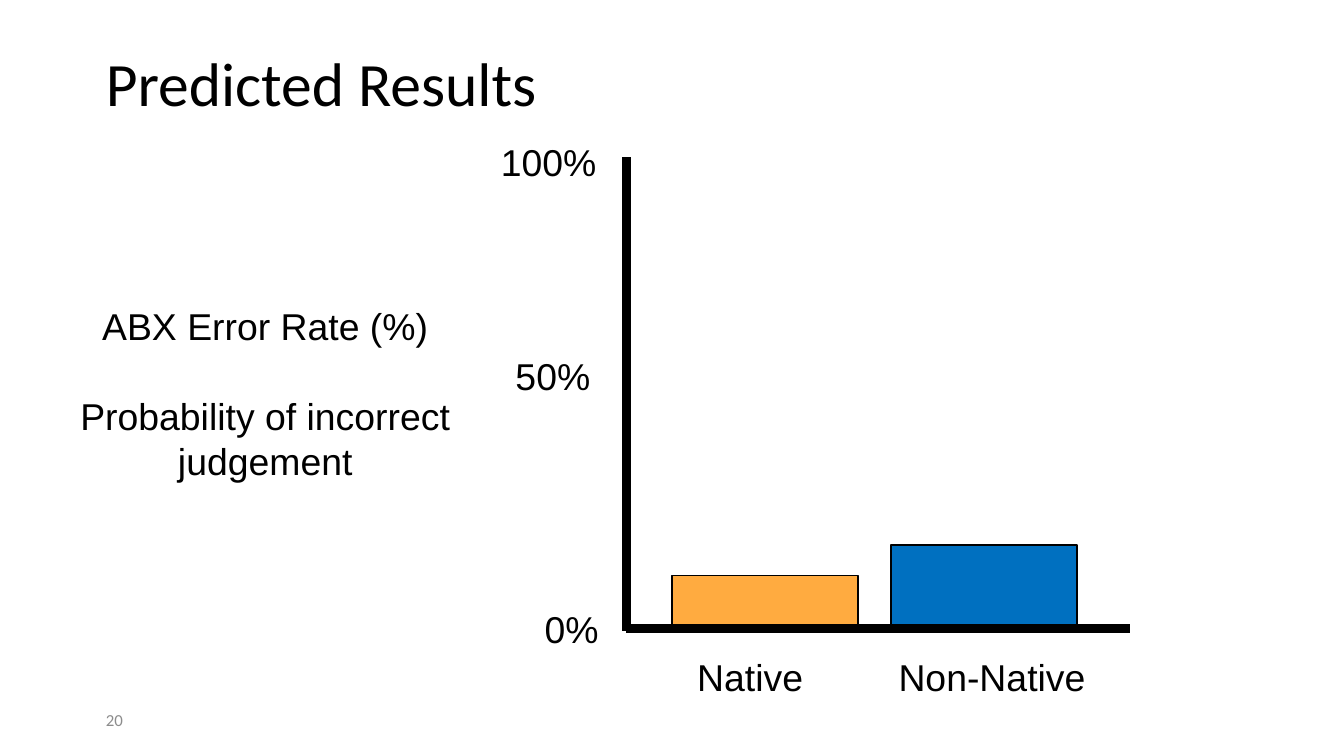
import pptx
import pptx.util
import pptx.dml.color
import pptx.enum.shapes
import pptx.enum.text
import lxml.etree
import pptx.oxml.ns

Cm = pptx.util.Cm
Pt = pptx.util.Pt
ALIGN = pptx.enum.text.PP_ALIGN
ANCHOR = pptx.enum.text.MSO_ANCHOR
COLOURS = {
    "ink": "000000",
    "muted": "8C8C8C",
    "native": "FFAB40",
    "non_native": "0070C0",
}
LABEL_HEIGHT = 1.12


def colour(name):
    return pptx.dml.color.RGBColor.from_string(COLOURS[name])


def add_text(slide, box, text, size=20, font="Arial", ink="ink",
             align=ALIGN.CENTER, anchor=ANCHOR.TOP):
    shape = slide.shapes.add_textbox(*map(Cm, box))
    text_frame = shape.text_frame
    text_frame.word_wrap = True
    text_frame.vertical_anchor = anchor
    text_frame.text = text
    for paragraph in text_frame.paragraphs:
        paragraph.alignment = align
        for run in paragraph.runs:
            run.font.size = Pt(size)
            run.font.name = font
            run.font.color.rgb = colour(ink)
    return text_frame


def add_axis(slide, start, end):
    axis = slide.shapes.add_connector(
        pptx.enum.shapes.MSO_CONNECTOR.STRAIGHT, *map(Cm, start + end))
    axis.line.color.rgb = colour("ink")
    axis.line.width = Pt(4.5)
    lxml.etree.SubElement(axis.element.spPr, pptx.oxml.ns.qn("a:effectLst"))


def add_bar(slide, box, fill):
    bar = slide.shapes.add_shape(
        pptx.enum.shapes.MSO_SHAPE.RECTANGLE, *map(Cm, box))
    bar.shadow.inherit = False
    bar.fill.solid()
    bar.fill.fore_color.rgb = colour(fill)
    bar.line.color.rgb = colour("ink")
    bar.line.width = Pt(1)


def add_title(slide, box):
    text_frame = add_text(slide, box, "Predicted Results", 33, "Calibri",
                          align=ALIGN.LEFT)
    text_frame.margin_top = text_frame.margin_bottom = Cm(0.25)
    text_frame.paragraphs[0].line_spacing = 0.9


def add_measure(slide, box):
    text_frame = add_text(
        slide, box, "ABX Error Rate (%)\nProbability of incorrect judgement")
    text_frame.paragraphs[1].space_before = Pt(24)


def add_bar_graph(slide, box):
    left, top, width, height = box
    baseline = top + height
    add_axis(slide, (left, top), (left, baseline + 0.05))

    bar_width, label_width = 3.51, 4.88
    bars = [
        ("Native", "native", 0.86, 1, -0.1),
        ("Non-Native", "non_native", 5, 1.57, 4.47),
    ]
    for name, fill, bar_left, bar_height, label_left in bars:
        add_bar(slide, (left + bar_left, baseline - bar_height,
                        bar_width, bar_height), fill)
        add_text(slide, (left + label_left, baseline + 0.36,
                         label_width, LABEL_HEIGHT), name)
    add_axis(slide, (left, baseline), (left + width, baseline))

    ticks = [
        ("100%", 2.65, -0.46, 2.36),
        ("50%", 2.57, 3.58, 2.36),
        ("0%", 1.81, 8.36, 1.55),
    ]
    for text, offset, tick_top, tick_width in ticks:
        add_text(slide, (left - offset, top + tick_top,
                         tick_width, LABEL_HEIGHT), text)


def add_slide_number(slide, box):
    add_text(slide, box, "20", 9, "Calibri", "muted", ALIGN.LEFT,
             ANCHOR.MIDDLE)


def main():
    presentation = pptx.Presentation()
    presentation.slide_width = Cm(25.4)
    presentation.slide_height = Cm(14.29)
    slide = presentation.slides.add_slide(presentation.slide_layouts[6])
    add_title(slide, (1.75, 0.76, 21.9, 2.77))
    add_measure(slide, (0.53, 5.61, 8.97, 3.68))
    add_bar_graph(slide, (11.84, 2.97, 9.52, 8.91))
    add_slide_number(slide, (1.75, 13.23, 5.72, 0.76))
    presentation.save("out.pptx")


if __name__ == "__main__":
    main()
